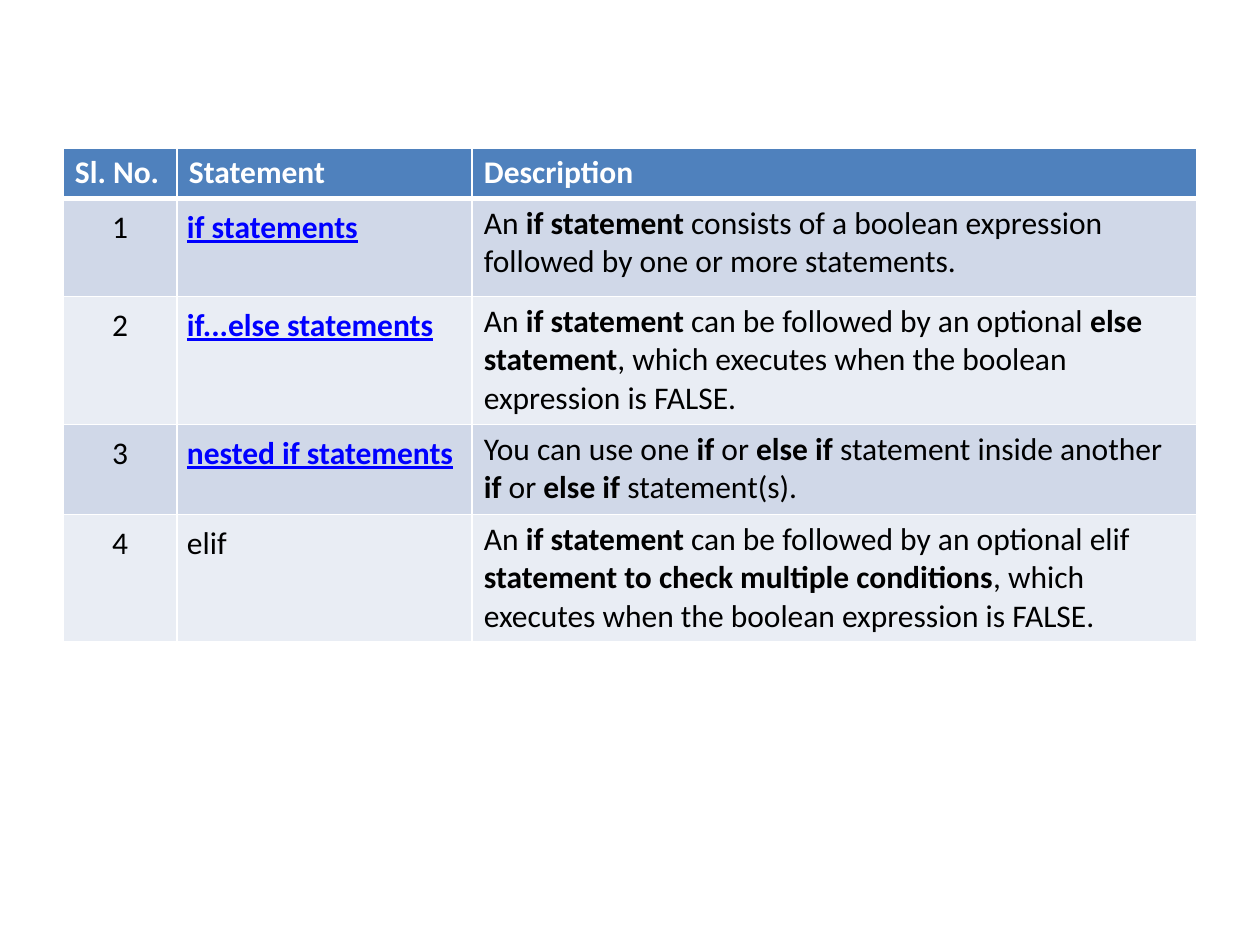
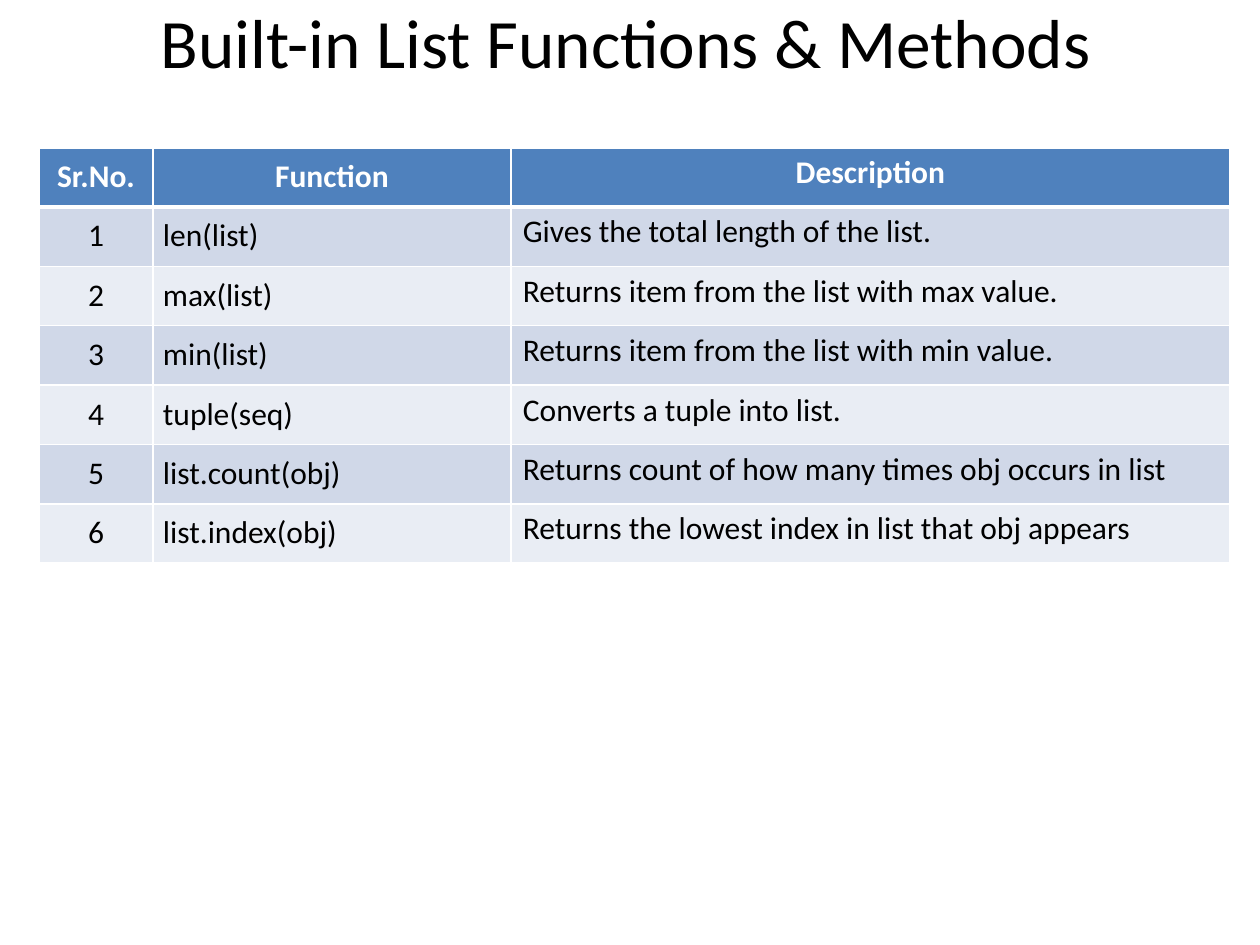
from lxml import etree
from pptx import Presentation
from pptx.dml.color import RGBColor
from pptx.enum.text import MSO_ANCHOR, PP_ALIGN
from pptx.oxml.ns import qn
from pptx.util import Pt

LEFT, MID, JUST = PP_ALIGN.LEFT, PP_ALIGN.CENTER, PP_ALIGN.JUSTIFY
CENTER = MSO_ANCHOR.MIDDLE
SCALE = 914400 / 126
FACE = "Calibri"
HEX = {
    "head": "4F81BD",
    "odd": "D0D8E8",
    "even": "E9EDF4",
    "white": "FFFFFF",
    "black": "000000",
    "link": "0000FF",
}
TOP = 148
SIDES = ("margin_left", "margin_right", "margin_top", "margin_bottom")
WIDE, PLAIN = (10, 10, 10, 10), (12, 12, 6, 6)

IF_HEAD = ("Sl. No.", "Statement", "Description")
IF_ROWS = (
    ("1", "if statements",
     "An **if statement** consists of a boolean expression followed by "
     "one or more statements."),
    ("2", "if...else statements",
     "An **if statement** can be followed by an optional **else statement**"
     ", which executes when the boolean expression is FALSE."),
    ("3", "nested if statements",
     "You can use one **if** or **else if** statement inside another **if**"
     " or **else if **statement(s)."),
    ("4", "elif",
     "An **if statement** can be followed by an optional elif"
     "** statement to check multiple conditions**"
     ", which executes when the boolean expression is FALSE."),
)
LIST_HEAD = ("Sr.No.", "Function", "Description")
LIST_ROWS = (
    ("1", "len(list)", "Gives the total length of the list."),
    ("2", "max(list)", "Returns item from the list with max value."),
    ("3", "min(list)", "Returns item from the list with min value."),
    ("4", "tuple(seq)", "Converts a tuple into list."),
    ("5", "list.count(obj)",
     "Returns count of how many times obj occurs in list"),
    ("6", "list.index(obj)",
     "Returns the lowest index in list that obj appears"),
)


def px(num):
    return round(num * SCALE)


def color(name):
    return RGBColor.from_string(HEX[name])


def apply(item, form):
    for key, val in form.items():
        setattr(item, key, val)


def write(para, text, align, tint="black", size=18, **form):
    para.alignment = align
    for num, part in enumerate(text.split("**")):
        if part:
            run = para.add_run()
            run.text = part
            look = {"name": FACE, "size": Pt(size), "bold": num % 2 == 1}
            apply(run.font, look | form)
            run.font.color.rgb = color(tint)


def edge(cell, side, width):
    props = cell._tc.get_or_add_tcPr()
    line = etree.SubElement(props, qn("a:ln" + side), w=str(Pt(width)))
    fill = etree.SubElement(line, qn("a:solidFill"))
    etree.SubElement(fill, qn("a:srgbClr"), val=HEX["white"])


def paint(cell, row, pad):
    thick = {0: "B", 1: "T"}.get(row)
    for side in "LRTB":
        edge(cell, side, 3 if side == thick else 1)
    cell.fill.solid()
    band = "head" if row == 0 else "odd" if row % 2 else "even"
    cell.fill.fore_color.rgb = color(band)
    apply(cell, dict(zip(SIDES, map(px, pad))))


def grid(slide, left, cols, highs, head, rows, heads, pads, aligns, links=()):
    frame = slide.shapes.add_table(len(highs), len(cols), px(left), px(TOP),
                                   px(sum(cols)), px(sum(highs)))
    table = frame.table
    for col, wide in zip(table.columns, cols):
        col.width = px(wide)
    for row, high in zip(table.rows, highs):
        row.height = px(high)
    for r, texts in enumerate((head, *rows)):
        for c, text in enumerate(texts):
            cell = table.cell(r, c)
            paint(cell, r, pads[c] if r == 0 else (WIDE, WIDE, PLAIN)[c])
            para = cell.text_frame.paragraphs[0]
            if r == 0:
                write(para, text, heads, "white", bold=True)
            elif text in links:
                write(para, text, aligns[c], "link", bold=True, underline=True)
            else:
                write(para, text, aligns[c])


def title(slide, text):
    box = slide.shapes.add_textbox(px(59), 0, px(1134), px(81))
    frame = box.text_frame
    apply(frame, {"word_wrap": True, "vertical_anchor": CENTER})
    write(frame.paragraphs[0], text, MID, size=39.6)


def main():
    deck = Presentation()
    apply(deck, {"slide_width": px(1260), "slide_height": px(945)})
    blank = deck.slide_layouts[6]

    slide = deck.slides.add_slide(blank)
    links = [row[1] for row in IF_ROWS[:3]]
    grid(slide, 63, (114, 295, 725), (50, 98, 128, 90, 127), IF_HEAD, IF_ROWS,
         LEFT, (PLAIN, PLAIN, PLAIN), (MID, JUST, LEFT), links)

    slide = deck.slides.add_slide(blank)
    title(slide, "Built-in List Functions & Methods")
    highs = [59] + [59.4] * len(LIST_ROWS)
    grid(slide, 39, (114, 358, 719), highs, LIST_HEAD, LIST_ROWS,
         MID, (WIDE, WIDE, PLAIN), (MID, LEFT, LEFT))

    deck.save("out.pptx")


if __name__ == "__main__":
    main()
